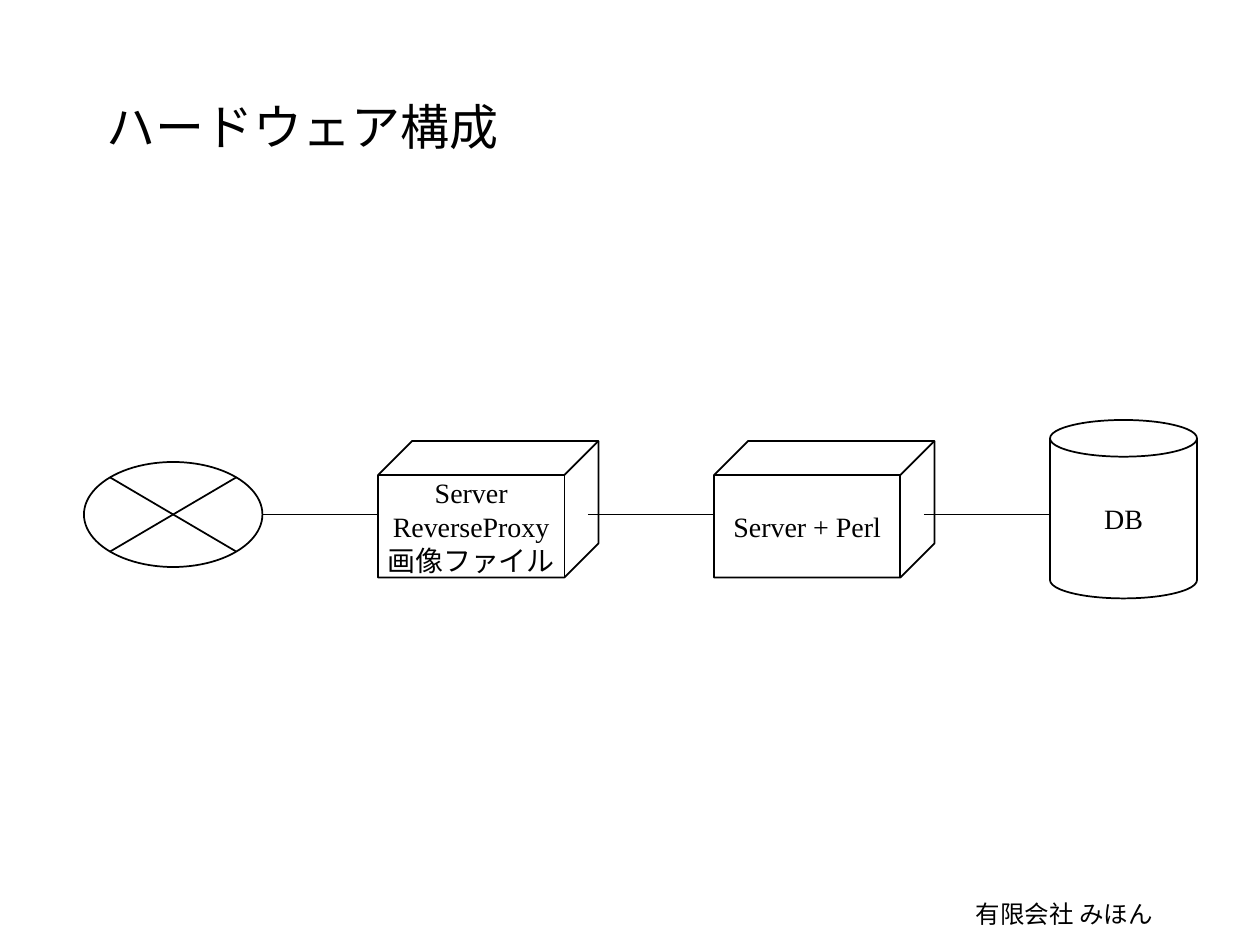
from dataclasses import dataclass

from lxml import etree
from pptx import Presentation
from pptx import util as u
from pptx.dml.color import RGBColor
from pptx.enum import shapes, text
from pptx.oxml.ns import qn

PX = u.Inches(1) // 120


@dataclass
class Theme:
    ink: RGBColor = RGBColor(0, 0, 0)
    font: str = "Times New Roman"
    title: int = 28
    label: int = 16
    footer: int = 14
    line: int = 1


theme = Theme()


def write(sp, words, size, align, anchor, wrap):
    tf = sp.text_frame
    tf.text = words
    tf.word_wrap = wrap
    tf.vertical_anchor = anchor
    for p in tf.paragraphs:
        p.alignment = align
        for r in p.runs:
            r.font.name = theme.font
            r.font.size = u.Pt(size)
            r.font.color.rgb = theme.ink


def outline(sp):
    sp.line.color.rgb = theme.ink
    sp.line.width = u.Pt(theme.line)


prs = Presentation()
prs.slide_width, prs.slide_height = 1200 * PX, 900 * PX
s = prs.slides.add_slide(prs.slide_layouts[6])

# Footer and title
for words, box, size, align, anchor in [
    ("有限会社 みほん", (730, 850, 380, 60), theme.footer, text.PP_ALIGN.RIGHT, text.MSO_ANCHOR.TOP),
    ("ハードウェア構成", (90, 80, 1020, 80), theme.title, text.PP_ALIGN.LEFT, text.MSO_ANCHOR.MIDDLE),
]:
    sp = s.shapes.add_textbox(*(v * PX for v in box))
    write(sp, words, size, align, anchor, True)

# Network, servers and database
kinds = shapes.MSO_SHAPE
for kind, box, words in [
    (kinds.CUBE, (360, 420, 210, 130), "Server\nReverseProxy\n画像ファイル"),
    (kinds.CUBE, (680, 420, 210, 130), "Server + Perl"),
    (kinds.CAN, (1000, 400, 140, 170), "DB"),
    (kinds.FLOWCHART_SUMMING_JUNCTION, (80, 440, 170, 100), ""),
]:
    sp = s.shapes.add_shape(kind, *(v * PX for v in box))
    sp.shadow.inherit = False
    sp.fill.background()
    outline(sp)
    if words:
        write(sp, words, theme.label, text.PP_ALIGN.CENTER, text.MSO_ANCHOR.MIDDLE, False)

# Links along one level; those from a server start on its side face
LINK_Y = 490
for start, end in [(250, 360), (560, 680), (880, 1000)]:
    link = s.shapes.add_connector(
        shapes.MSO_CONNECTOR.STRAIGHT, start * PX, LINK_Y * PX, end * PX, LINK_Y * PX)
    outline(link)
    etree.SubElement(link._element.spPr, qn("a:effectLst"))

prs.save("out.pptx")
